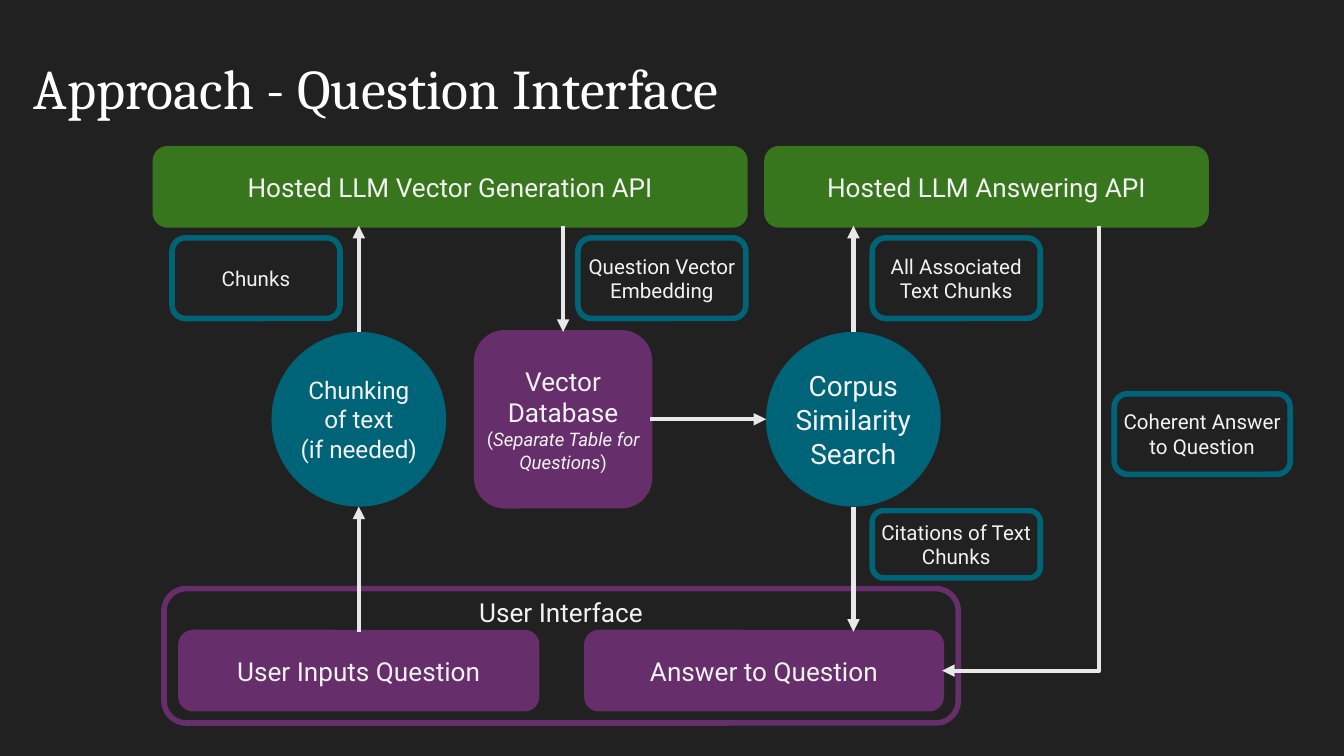
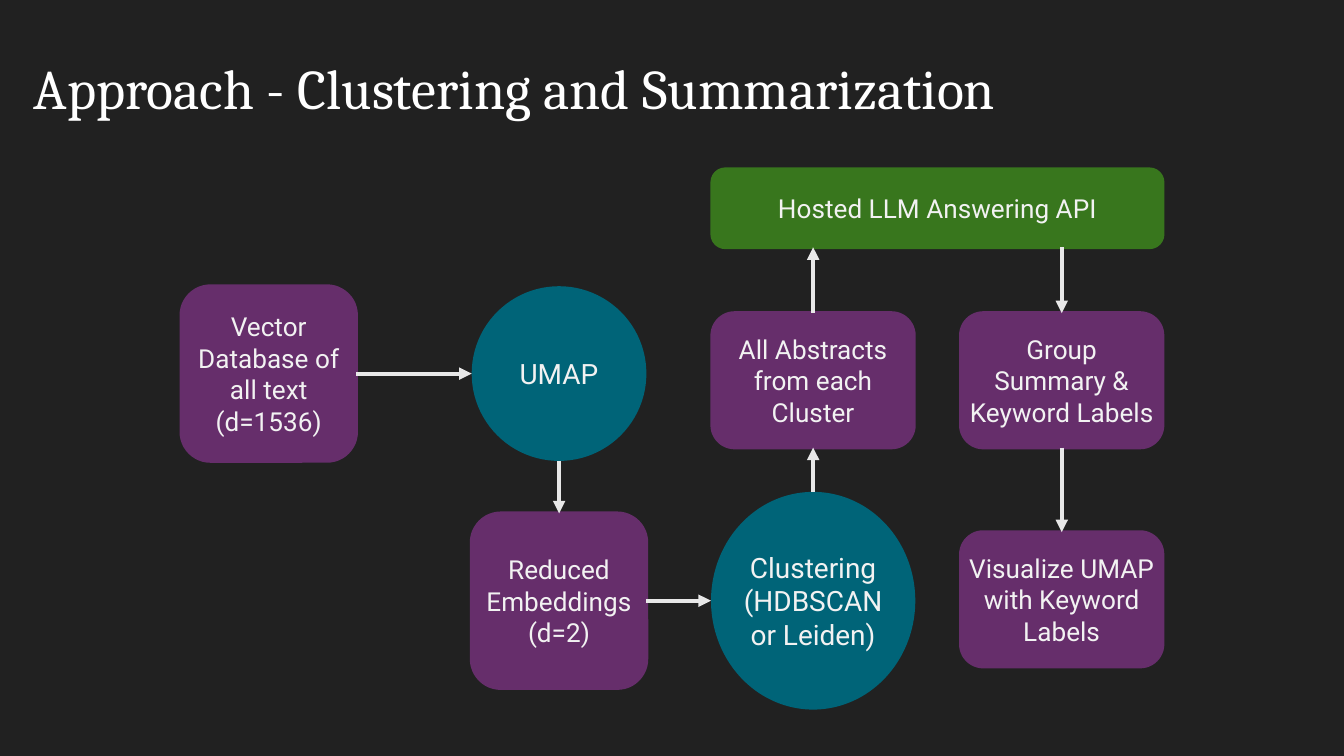
from copy import deepcopy
from dataclasses import dataclass
from enum import IntEnum
from typing import Optional

from lxml import etree
from pptx import Presentation
from pptx.dml.color import RGBColor
from pptx.enum import shapes, text
from pptx.oxml.ns import qn
from pptx.util import Inches, Pt

BACKGROUND = RGBColor(0x21, 0x21, 0x21)
WHITE = RGBColor(0xFF, 0xFF, 0xFF)
OFF_WHITE = RGBColor(0xF2, 0xF2, 0xF2)
ARROW_GREY = RGBColor(0xE8, 0xE8, 0xE8)
PURPLE = RGBColor(0x66, 0x2E, 0x6B)
TEAL = RGBColor(0x00, 0x64, 0x78)
GREEN = RGBColor(0x38, 0x76, 0x1D)

TITLE_FONT = "Cambria"
BODY_FONT = "Roboto"
ROUNDED = shapes.MSO_SHAPE.ROUNDED_RECTANGLE
OVAL = shapes.MSO_SHAPE.OVAL


class Side(IntEnum):
    TOP = 0
    LEFT = 1
    BOTTOM = 2
    RIGHT = 3


@dataclass(frozen=True)
class Style:
    color: RGBColor
    size: float = 14
    shape: shapes.MSO_SHAPE = ROUNDED
    filled: bool = True
    line: float = 2
    inset_x: float = 0.01
    inset_top: float = 0.05
    inset_bottom: float = 0.05
    anchor: text.MSO_ANCHOR = text.MSO_ANCHOR.MIDDLE


STORE = Style(PURPLE)
SCREEN = Style(PURPLE, inset_x=0.1)
API = Style(GREEN, inset_x=0.1)
PROCESS = Style(TEAL, size=15, shape=OVAL, line=0, inset_x=0.02)
SMALL_PROCESS = Style(TEAL, size=13, shape=OVAL, line=0, inset_x=0.02)
LABEL = Style(TEAL, size=11, filled=False, line=3, inset_x=0.02,
              inset_top=0.01, inset_bottom=0.01)
FRAME = Style(PURPLE, filled=False, line=3, inset_x=0.02, inset_top=0.01,
              anchor=text.MSO_ANCHOR.TOP)


@dataclass(frozen=True)
class Box:
    """A labelled shape; in its text \\n parts paragraphs and \\v lines."""
    name: str
    style: Style
    left: float
    top: float
    width: float
    height: float
    text: str
    note: str = ""


@dataclass(frozen=True)
class End:
    """A point on a box's side: its middle, unless x says otherwise."""
    box: str
    side: Side
    x: Optional[float] = None


@dataclass(frozen=True)
class Arrow:
    start: End
    end: End


@dataclass(frozen=True)
class Diagram:
    title: str
    boxes: list[Box]
    arrows: list[Arrow]


API_H = 0.58
NODE = 1.3
LABEL_W, LABEL_H = 1.25, 0.6
LABEL_TOP = 1.77
CARD_W, CARD_H = 1.5, 1.0

QUESTION = Diagram(
    "Approach - Question Interface",
    [
        Box("interface", FRAME, 1.22, 4.38, 5.91, 1, "User Interface"),
        Box("input", SCREEN, 1.34, 4.7, 2.66, API_H, "User Inputs Question"),
        Box("answer", SCREEN, 4.36, 4.7, 2.65, API_H, "Answer to Question"),
        Box("chunking", SMALL_PROCESS, 2.02, 2.47, NODE, NODE,
            "Chunking of text\v(if needed)"),
        Box("chunks", LABEL, 1.28, LABEL_TOP, LABEL_W, LABEL_H, "Chunks"),
        Box("vector api", API, 1.15, 1.1, 4.4, API_H,
            "Hosted LLM Vector Generation API"),
        Box("database", STORE, 3.54, 2.47, NODE, NODE, "Vector Database",
            note="Separate Table for Questions"),
        Box("embedding", LABEL, 4.3, LABEL_TOP, LABEL_W, LABEL_H,
            "Question Vector Embedding"),
        Box("associated", LABEL, 6.49, LABEL_TOP, LABEL_W, LABEL_H,
            "All Associated Text Chunks"),
        Box("citations", LABEL, 6.49, 3.8, LABEL_W, 0.5,
            "Citations of Text Chunks"),
        Box("coherent", LABEL, 8.29, 2.93, 1.31, LABEL_H,
            "Coherent Answer to Question"),
        Box("search", PROCESS, 5.7, 2.47, NODE, NODE,
            "Corpus Similarity Search"),
        Box("answer api", API, 5.7, 1.1, 3.28, API_H,
            "Hosted LLM Answering API"),
    ],
    [
        Arrow(End("input", Side.TOP), End("chunking", Side.BOTTOM)),
        Arrow(End("chunking", Side.TOP),
              End("vector api", Side.BOTTOM, 2.67)),
        Arrow(End("vector api", Side.BOTTOM, 4.19),
              End("database", Side.TOP)),
        Arrow(End("database", Side.RIGHT), End("search", Side.LEFT)),
        Arrow(End("search", Side.BOTTOM), End("answer", Side.TOP, 6.35)),
        Arrow(End("search", Side.TOP), End("answer api", Side.BOTTOM, 6.35)),
        Arrow(End("answer api", Side.BOTTOM, 8.18),
              End("answer", Side.RIGHT)),
    ],
)

CLUSTERING = Diagram(
    "Approach - Clustering and Summarization",
    [
        Box("database", STORE, 1.35, 2.13, NODE, NODE,
            "Vector Database of all text\n(d=1536)"),
        Box("umap", PROCESS, 3.51, 2.13, NODE, NODE, "UMAP"),
        Box("api", API, 5.3, 1.26, 3.35, API_H, "Hosted LLM Answering API"),
        Box("reduced", STORE, 3.51, 3.82, NODE, NODE,
            "Reduced Embeddings\n(d=2)"),
        Box("clustering", PROCESS, 5.29, 3.66, 1.52, 1.62,
            "Clustering\n(HDBSCAN or Leiden)"),
        Box("abstracts", STORE, 5.3, 2.33, CARD_W, CARD_H,
            "All Abstracts from each Cluster"),
        Box("summary", STORE, 7.15, 2.33, CARD_W, CARD_H,
            "Group Summary & Keyword Labels"),
        Box("visualize", STORE, 7.15, 3.96, CARD_W, CARD_H,
            "Visualize UMAP with Keyword Labels"),
    ],
    [
        Arrow(End("database", Side.RIGHT), End("umap", Side.LEFT)),
        Arrow(End("umap", Side.BOTTOM), End("reduced", Side.TOP)),
        Arrow(End("reduced", Side.RIGHT), End("clustering", Side.LEFT)),
        Arrow(End("clustering", Side.TOP), End("abstracts", Side.BOTTOM)),
        Arrow(End("abstracts", Side.TOP), End("api", Side.BOTTOM, 6.05)),
        Arrow(End("api", Side.BOTTOM, 7.9), End("summary", Side.TOP)),
        Arrow(End("summary", Side.BOTTOM), End("visualize", Side.TOP)),
    ],
)


def add_text(p, content: str, *, size: float, font: str = BODY_FONT,
             color: RGBColor = OFF_WHITE, italic: bool = False) -> None:
    for i, line in enumerate(content.split("\v")):
        if i:
            p.add_line_break()
            p._p[-1].append(deepcopy(r._r.rPr))
        r = p.add_run()
        r.text = line
        r.font.size = Pt(size)
        r.font.name = font
        r.font.color.rgb = color
        r.font.italic = italic


def set_frame(tf, x: float, top: float, bottom: float, anchor) -> None:
    tf.word_wrap = True
    tf.auto_size = text.MSO_AUTO_SIZE.NONE
    tf.margin_left = tf.margin_right = Inches(x)
    tf.margin_top, tf.margin_bottom = Inches(top), Inches(bottom)
    tf.vertical_anchor = anchor


def set_title(slide, content: str) -> None:
    sp = slide.shapes.title
    sp.left, sp.top = Inches(0.15), Inches(0.25)
    sp.width, sp.height = Inches(9.75), Inches(0.8)
    set_frame(sp.text_frame, 0.1, 0.1, 0.1, text.MSO_ANCHOR.MIDDLE)
    p = sp.text_frame.paragraphs[0]
    p.alignment = text.PP_ALIGN.LEFT
    add_text(p, content, size=30, font=TITLE_FONT, color=WHITE)


def add_box(slide, box: Box):
    style = box.style
    sp = slide.shapes.add_shape(style.shape, Inches(box.left), Inches(box.top),
                                Inches(box.width), Inches(box.height))
    sp.shadow.inherit = False
    if style.filled:
        sp.fill.solid()
        sp.fill.fore_color.rgb = style.color
    else:
        sp.fill.background()
    if style.line:
        sp.line.color.rgb = style.color
        sp.line.width = Pt(style.line)
    else:
        sp.line.fill.background()

    tf = sp.text_frame
    set_frame(tf, style.inset_x, style.inset_top, style.inset_bottom,
              style.anchor)
    for i, line in enumerate(box.text.split("\n")):
        p = tf.add_paragraph() if i else tf.paragraphs[0]
        add_text(p, line, size=style.size)
    if box.note:
        p = tf.add_paragraph()
        for part, italic in (("(", False), (box.note, True), (")", False)):
            add_text(p, part, size=10, italic=italic)
    for p in tf.paragraphs:
        p.alignment = text.PP_ALIGN.CENTER
    return sp


def locate(sp, end: End) -> tuple[int, int]:
    """Give the slide position of an arrow's end."""
    x, y = sp.left + sp.width // 2, sp.top + sp.height // 2
    if end.side in (Side.LEFT, Side.RIGHT):
        x = sp.left + (sp.width if end.side == Side.RIGHT else 0)
    else:
        y = sp.top + (sp.height if end.side == Side.BOTTOM else 0)
    return (x if end.x is None else Inches(end.x)), y


def add_elbow(slide, x1: int, y1: int, x2: int, y2: int):
    """Draw a connector that runs down and then left."""
    run, drop = x1 - x2, y2 - y1
    left, top = (x1 + x2 - drop) // 2, (y1 + y2 - run) // 2
    c = slide.shapes.add_connector(shapes.MSO_CONNECTOR.ELBOW, left, top,
                                   left + drop, top + run)
    properties = c._element.spPr
    properties.find(qn("a:prstGeom")).set("prst", "bentConnector2")
    properties.find(qn("a:xfrm")).set("rot", str(90 * 60000))
    return c


def add_arrow(slide, arrow: Arrow, drawn: dict) -> None:
    start, end = arrow.start, arrow.end
    source, target = drawn[start.box], drawn[end.box]
    points = (*locate(source, start), *locate(target, end))
    if start.side == Side.BOTTOM and end.side == Side.RIGHT:
        c = add_elbow(slide, *points)
    else:
        c = slide.shapes.add_connector(shapes.MSO_CONNECTOR.STRAIGHT, *points)
        if start.x is None and source.auto_shape_type == ROUNDED:
            c.begin_connect(source, int(start.side))
        if end.x is None and target.auto_shape_type == ROUNDED:
            c.end_connect(target, int(end.side))
    c.line.color.rgb = ARROW_GREY
    c.line.width = Pt(2.25)
    etree.SubElement(c.line._get_or_add_ln(), qn("a:tailEnd"), type="triangle")
    etree.SubElement(c._element.spPr, qn("a:effectLst"))


def add_diagram(prs, diagram: Diagram) -> None:
    slide = prs.slides.add_slide(prs.slide_layouts[5])
    set_title(slide, diagram.title)
    drawn = {box.name: add_box(slide, box) for box in diagram.boxes}
    for arrow in diagram.arrows:
        add_arrow(slide, arrow, drawn)


def main() -> None:
    prs = Presentation()
    prs.slide_width = Inches(10)
    prs.slide_height = prs.slide_width * 9 // 16
    fill = prs.slide_master.background.fill
    fill.solid()
    fill.fore_color.rgb = BACKGROUND
    for diagram in (QUESTION, CLUSTERING):
        add_diagram(prs, diagram)
    prs.save("out.pptx")


if __name__ == "__main__":
    main()
